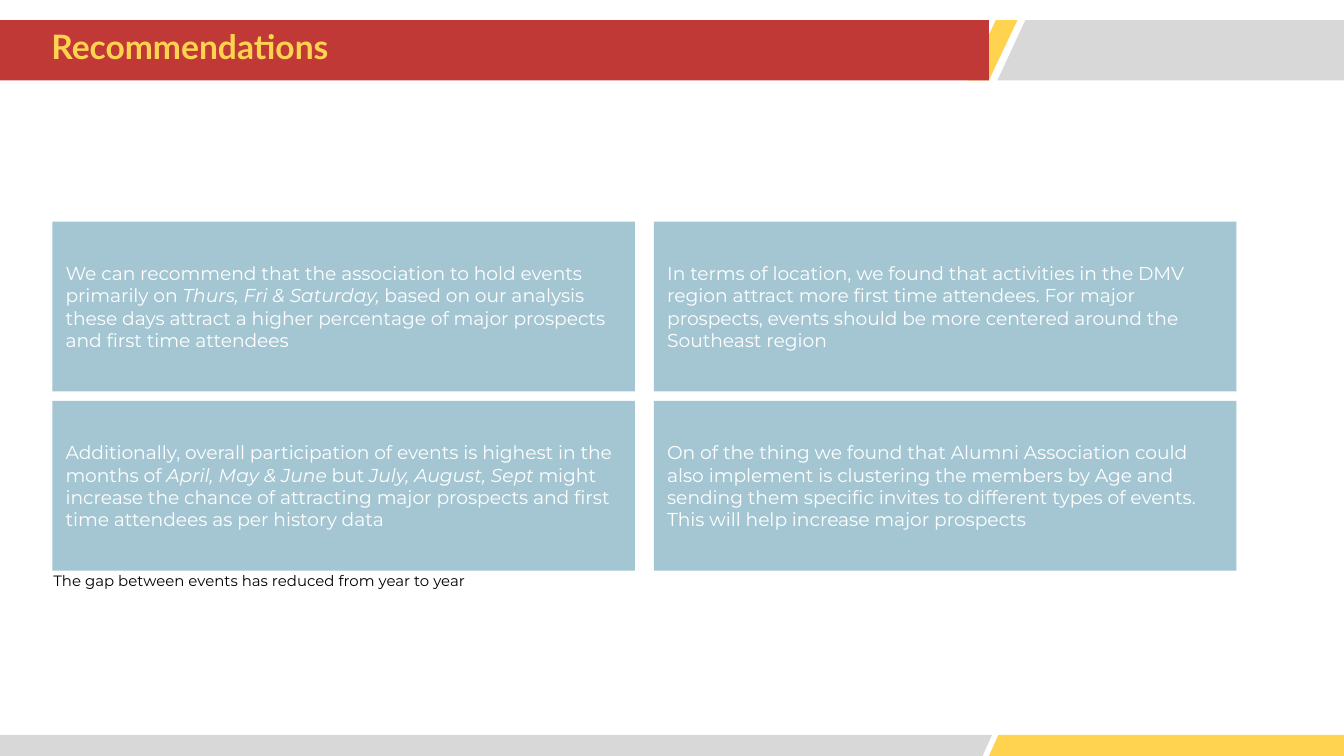
from pptx import Presentation
from pptx import util as u
from pptx.dml.color import RGBColor
from pptx.enum import shapes, text

COLORS = {
    "red": "C13936",
    "yellow": "FFD24F",
    "grey": "D8D8D8",
    "blue": "A4C6D3",
    "white": "FFFFFF",
    "black": "000000",
}

TITLE = "Recommendations"
NOTE = "The gap between events has reduced from year to year"

# Rows of cards; each card is a list of (text, italic) runs.
CARDS = [
    [
        [("We can recommend that the association to hold events primarily on ", False),
         ("Thurs, Fri & Saturday,", True),
         (" based on our analysis these days attract a higher percentage of "
          "major prospects and first time attendees", False)],
        [("In terms of location, we found that activities in the DMV region "
          "attract more first time attendees. For major prospects, events "
          "should be more centered around the Southeast region", False)],
    ],
    [
        [("Additionally, overall participation of events is highest in the months of ", False),
         ("April, May & June", True),
         (" but ", False),
         ("July, August, Sept", True),
         (" might increase the chance of attracting major prospects and first "
          "time attendees as per history data", False)],
        [("On of the thing we found that Alumni Association could also "
          "implement is clustering the members by Age and sending them specific "
          "invites to different types of events. This will help increase major "
          "prospects", False)],
    ],
]

# Lengths are in centimetres.
WIDTH, HEIGHT = 25.4, 14.29
HEADER = (0.38, 1.52)
FOOTER = (13.89, HEIGHT)
TITLE_WIDTH = 18.69

# Colour, (top, bottom), left and right at the top, left and right at the bottom
BANDS = [
    ("grey", FOOTER, (0, 18.75), (0, 18.57)),
    ("yellow", FOOTER, (18.87, WIDTH), (18.69, WIDTH)),
    ("grey", HEADER, (19.38, WIDTH), (18.85, WIDTH)),
    ("yellow", HEADER, (18.82, 19.23), (18.29, 18.69)),
]

CARD_LEFT, CARD_TOP = 0.99, 4.19
CARD_WIDTH, CARD_HEIGHT = 11.01, 3.21
GAP_X, GAP_Y = 0.36, 0.18
INSET = 0.25


def rgb(name):
    return RGBColor.from_string(COLORS[name])


def paint(shape, color):
    shape.fill.solid()
    shape.fill.fore_color.rgb = rgb(color)
    shape.line.fill.background()
    shape.shadow.inherit = False


def set_frame(frame, anchor, insets):
    """Set wrapping, anchor and the left, top, right and bottom insets."""
    frame.word_wrap = True
    frame.auto_size = text.MSO_AUTO_SIZE.NONE
    frame.vertical_anchor = anchor
    (frame.margin_left, frame.margin_top,
     frame.margin_right, frame.margin_bottom) = map(u.Cm, insets)


def add_runs(frame, runs, font, size, color, bold=False):
    paragraph = frame.paragraphs[0]
    paragraph.alignment = text.PP_ALIGN.LEFT
    for words, italic in runs:
        run = paragraph.add_run()
        run.text = words
        run.font.name = font
        run.font.size = u.Pt(size)
        run.font.bold = bold
        run.font.italic = italic
        run.font.color.rgb = rgb(color)
    return paragraph


def add_band(slide, color, span, top_edge, bottom_edge):
    top, bottom = span
    corners = [(top_edge[0], top), (top_edge[1], top),
               (bottom_edge[1], bottom), (bottom_edge[0], bottom)]
    points = [(u.Cm(x), u.Cm(y)) for x, y in corners]
    builder = slide.shapes.build_freeform(*points[0])
    builder.add_line_segments(points[1:], close=True)
    paint(builder.convert_to_shape(), color)


def format_title(slide):
    title = slide.shapes.title
    slide.shapes.element.append(title.element)  # in front of the bands
    title.left, title.top = u.Cm(0), u.Cm(HEADER[0])
    title.width, title.height = u.Cm(TITLE_WIDTH), u.Cm(HEADER[1] - HEADER[0])
    title.fill.solid()
    title.fill.fore_color.rgb = rgb("red")
    set_frame(title.text_frame, text.MSO_ANCHOR.MIDDLE, (0.97, 0, 0, 0))
    paragraph = add_runs(title.text_frame, [(TITLE, False)], "Lato", 18, "yellow", bold=True)
    paragraph.line_spacing = 0.8
    paragraph.space_before = u.Pt(0)


def add_card(slide, row, column, runs):
    card = slide.shapes.add_shape(
        shapes.MSO_SHAPE.RECTANGLE,
        u.Cm(CARD_LEFT + column * (CARD_WIDTH + GAP_X)),
        u.Cm(CARD_TOP + row * (CARD_HEIGHT + GAP_Y)),
        u.Cm(CARD_WIDTH), u.Cm(CARD_HEIGHT))
    paint(card, "blue")
    set_frame(card.text_frame, text.MSO_ANCHOR.MIDDLE, [INSET] * 4)
    add_runs(card.text_frame, runs, "Montserrat", 10, "white")


def add_note(slide):
    note = slide.shapes.add_textbox(u.Cm(0.76), u.Cm(10.64), u.Cm(CARD_WIDTH), u.Cm(0.86))
    set_frame(note.text_frame, text.MSO_ANCHOR.TOP, [INSET] * 4)
    note.text_frame.auto_size = text.MSO_AUTO_SIZE.SHAPE_TO_FIT_TEXT
    add_runs(note.text_frame, [(NOTE, False)], "Montserrat", 8, "black")


def main():
    presentation = Presentation()
    presentation.slide_width, presentation.slide_height = u.Cm(WIDTH), u.Cm(HEIGHT)
    slide = presentation.slides.add_slide(presentation.slide_layouts.get_by_name("Title Only"))
    for band in BANDS:
        add_band(slide, *band)
    format_title(slide)
    for row, cards in enumerate(CARDS):
        for column, runs in enumerate(cards):
            add_card(slide, row, column, runs)
    add_note(slide)
    presentation.save("out.pptx")


if __name__ == "__main__":
    main()
